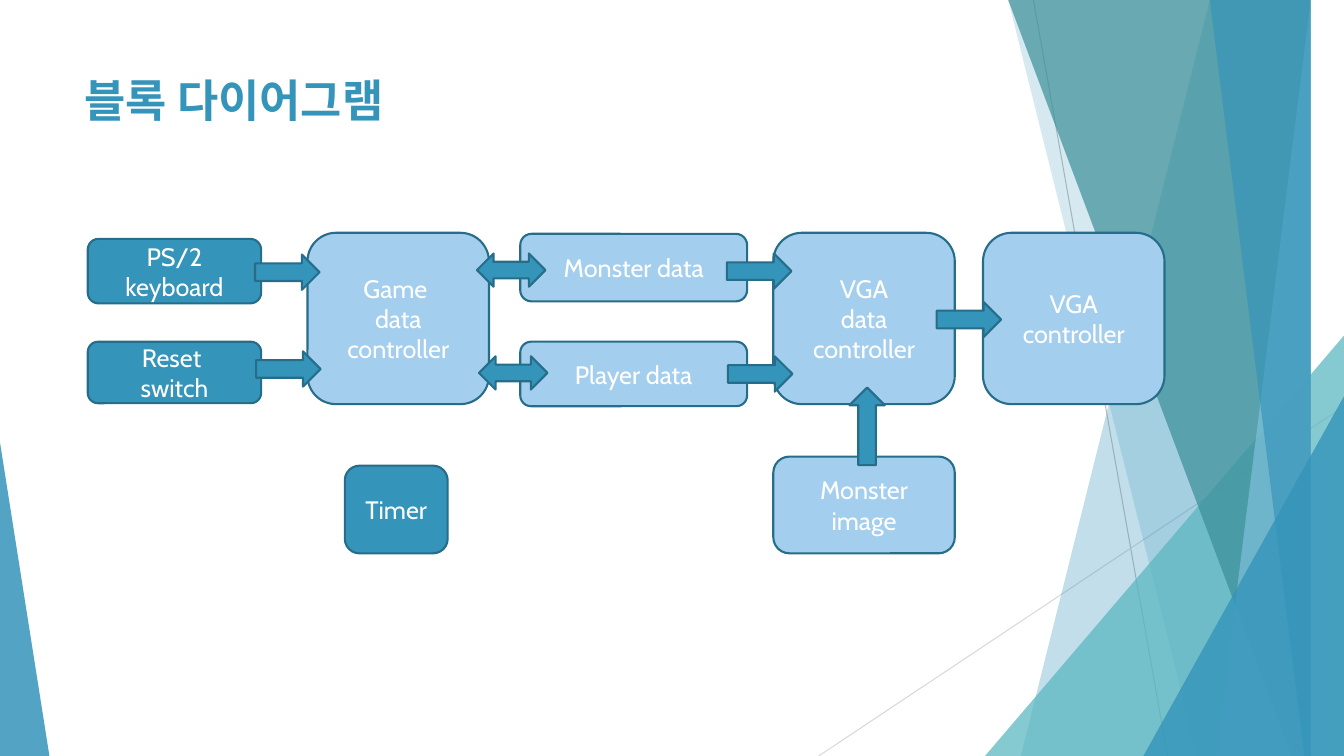
import pptx
import pptx.util
import pptx.dml.color
import pptx.enum.shapes
import pptx.enum.text
import pptx.oxml
import pptx.oxml.ns
from dataclasses import dataclass

SHAPE = pptx.enum.shapes.MSO_SHAPE
Inches = pptx.util.Inches
WIDTH, HEIGHT = 13.33, 7.5


@dataclass(frozen=True)
class Theme:
    font: str = "Cabin"
    title_size: int = 32
    block_size: int = 18
    outline_width: float = 1.5
    ray_width: float = 0.75
    blue: str = "3494BA"
    pale: str = "A3CEED"
    outline: str = "266D8A"
    teal: str = "58B6C0"
    green: str = "3A8F98"
    sky: str = "7FC1DB"
    white: str = "FFFFFF"


THEME = Theme()
TITLE = "블록 다이어그램"

# Column: left, width
COLUMNS = {
    "input": (0.87, 1.72),
    "timer": (3.42, 1.02),
    "game": (3.05, 1.8),
    "store": (5.16, 2.25),
    "display": (7.67, 1.8),
    "output": (9.75, 1.8),
}
# Row: top, height
ROWS = {
    "upper input": (2.37, 0.64),
    "upper": (2.32, 0.67),
    "lower input": (3.39, 0.61),
    "lower": (3.39, 0.64),
    "tall": (2.31, 1.7),
    "image": (4.53, 0.96),
    "timer": (4.62, 0.87),
}
BLOCKS = [
    (["PS/2 keyboard"], "input", "upper input", THEME.blue),
    (["Reset ", "switch"], "input", "lower input", THEME.blue),
    (["VGA controller"], "output", "tall", THEME.pale),
    (["Game ", "data controller"], "game", "tall", THEME.pale),
    (["Timer"], "timer", "timer", THEME.blue),
    (["Monster data"], "store", "upper", THEME.pale),
    (["Player data"], "store", "lower", THEME.pale),
    (["VGA", "data controller"], "display", "tall", THEME.pale),
    (["Monster image"], "display", "image", THEME.pale),
]
# Arrow kind: preset, length, thickness, rotation, centres
ARROWS = [
    (SHAPE.RIGHT_ARROW, 0.64, 0.35, 0,
     [(2.85, 2.7), (2.86, 3.66), (7.53, 2.69), (7.54, 3.71), (9.61, 3.17)]),
    (SHAPE.LEFT_RIGHT_ARROW, 0.68, 0.33, 0, [(5.07, 2.68), (5.09, 3.7)]),
    (SHAPE.RIGHT_ARROW, 0.77, 0.35, 270, [(8.6, 4.23)]),
]
RAYS = [
    ((10.25, 0), (11.58, HEIGHT), "BFBFBF"),
    ((WIDTH, 4.03), (8.12, HEIGHT), "D9D9D9"),
]
# Facets run to the right edge: x at the top, x at the bottom, colour, opacity %
BACK_FACETS = [(12.28, 10.04, THEME.blue, 30), (10.5, 11.83, THEME.blue, 20)]
FRONT_FACETS = [
    (10.21, 12.91, THEME.green, 70),
    (13.03, 11.92, THEME.sky, 70),
    (11.96, 13.18, THEME.blue, 65),
]
# Corner triangles stand on the bottom edge: left, width, height, apex, colour, opacity %
TEAL_CORNER = (9.77, 3.56, 4.17, 1, THEME.teal, 72)
BLUE_CORNERS = [
    (11.34, 1.99, 3.57, 1, THEME.blue, 80),
    (0, 0.49, 3.11, 0, THEME.blue, 85),
]


def rgb(color):
    return pptx.dml.color.RGBColor.from_string(color)


def paint(shape, color, opacity=100, outline=None):
    shape.shadow.inherit = False
    shape.fill.solid()
    shape.fill.fore_color.rgb = rgb(color)
    if opacity < 100:
        tint = shape.fill._xPr.find(".//" + pptx.oxml.ns.qn("a:srgbClr"))
        alpha = tint.makeelement(pptx.oxml.ns.qn("a:alpha"), {"val": str(opacity * 1000)})
        tint.append(alpha)
    if outline:
        shape.line.color.rgb = rgb(outline)
        shape.line.width = pptx.util.Pt(THEME.outline_width)
    else:
        shape.line.fill.background()


def write(shape, lines, *, size, color, bold=False, align="LEFT", anchor="TOP"):
    frame = shape.text_frame
    frame.word_wrap = True
    frame.vertical_anchor = pptx.enum.text.MSO_ANCHOR[anchor]
    for number, line in enumerate(lines):
        paragraph = frame.add_paragraph() if number else frame.paragraphs[0]
        paragraph.alignment = pptx.enum.text.PP_ALIGN[align]
        run = paragraph.add_run()
        run.text = line
        run.font.name = THEME.font
        run.font.size = pptx.util.Pt(size)
        run.font.bold = bold
        run.font.color.rgb = rgb(color)


def add_preset(slide, preset, left, top, width, height):
    return slide.shapes.add_shape(preset, *map(Inches, (left, top, width, height)))


def add_ray(slide, start, end, color):
    ray = slide.shapes.add_connector(
        pptx.enum.shapes.MSO_CONNECTOR.STRAIGHT, *map(Inches, start + end))
    ray.line.color.rgb = rgb(color)
    ray.line.width = pptx.util.Pt(THEME.ray_width)
    properties = ray._element.spPr
    properties.append(properties.makeelement(pptx.oxml.ns.qn("a:effectLst"), {}))


def add_facet(slide, top_x, bottom_x, color, opacity):
    builder = slide.shapes.build_freeform(top_x, 0, scale=Inches(1))
    builder.add_line_segments([(WIDTH, 0), (WIDTH, HEIGHT), (bottom_x, HEIGHT)], close=True)
    paint(builder.convert_to_shape(), color, opacity)


def add_corner(slide, left, width, height, apex, color, opacity):
    corner = add_preset(slide, SHAPE.ISOSCELES_TRIANGLE, left, HEIGHT - height, width, height)
    corner.adjustments[0] = apex
    paint(corner, color, opacity)


def add_backdrop(slide):
    for ray in RAYS:
        add_ray(slide, *ray)
    for facet in BACK_FACETS:
        add_facet(slide, *facet)
    add_corner(slide, *TEAL_CORNER)
    for facet in FRONT_FACETS:
        add_facet(slide, *facet)
    for corner in BLUE_CORNERS:
        add_corner(slide, *corner)


def add_diagram(slide):
    for lines, column, row, color in BLOCKS:
        left, width = COLUMNS[column]
        top, height = ROWS[row]
        block = add_preset(slide, SHAPE.ROUNDED_RECTANGLE, left, top, width, height)
        paint(block, color, outline=THEME.outline)
        write(block, lines, size=THEME.block_size, color=THEME.white,
              align="CENTER", anchor="MIDDLE")
    for preset, length, thickness, rotation, centres in ARROWS:
        for x, y in centres:
            arrow = add_preset(slide, preset, x - length / 2, y - thickness / 2,
                               length, thickness)
            arrow.rotation = rotation
            paint(arrow, THEME.blue, outline=THEME.outline)


def main():
    presentation = pptx.Presentation()
    presentation.slide_width = Inches(WIDTH)
    presentation.slide_height = Inches(HEIGHT)
    slide = presentation.slides.add_slide(presentation.slide_layouts[6])
    add_backdrop(slide)
    title = slide.shapes.add_textbox(*map(Inches, (0.74, 0.67, 9.4, 1.44)))
    write(title, [TITLE], size=THEME.title_size, color=THEME.blue, bold=True)
    add_diagram(slide)
    presentation.save("out.pptx")


if __name__ == "__main__":
    main()
